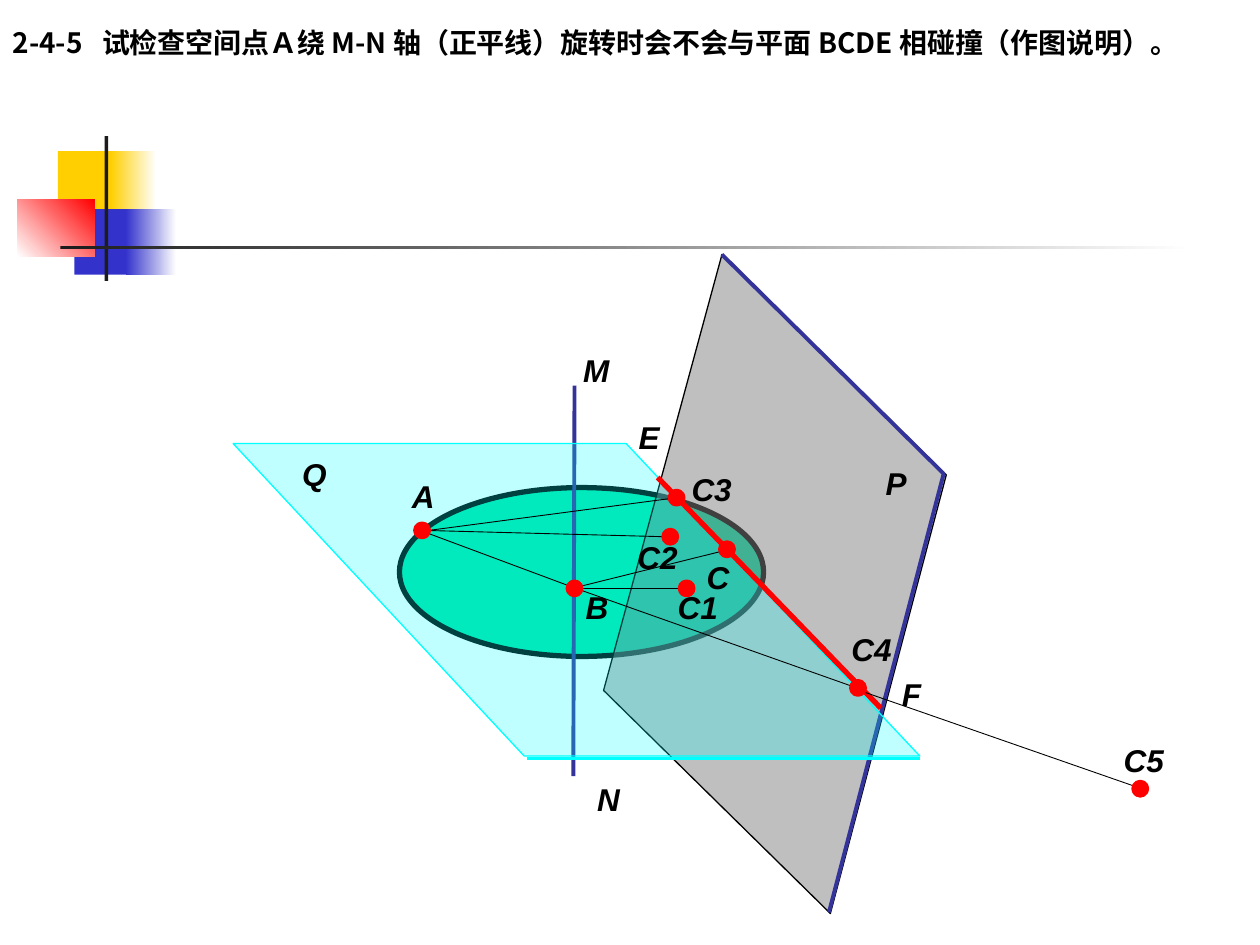
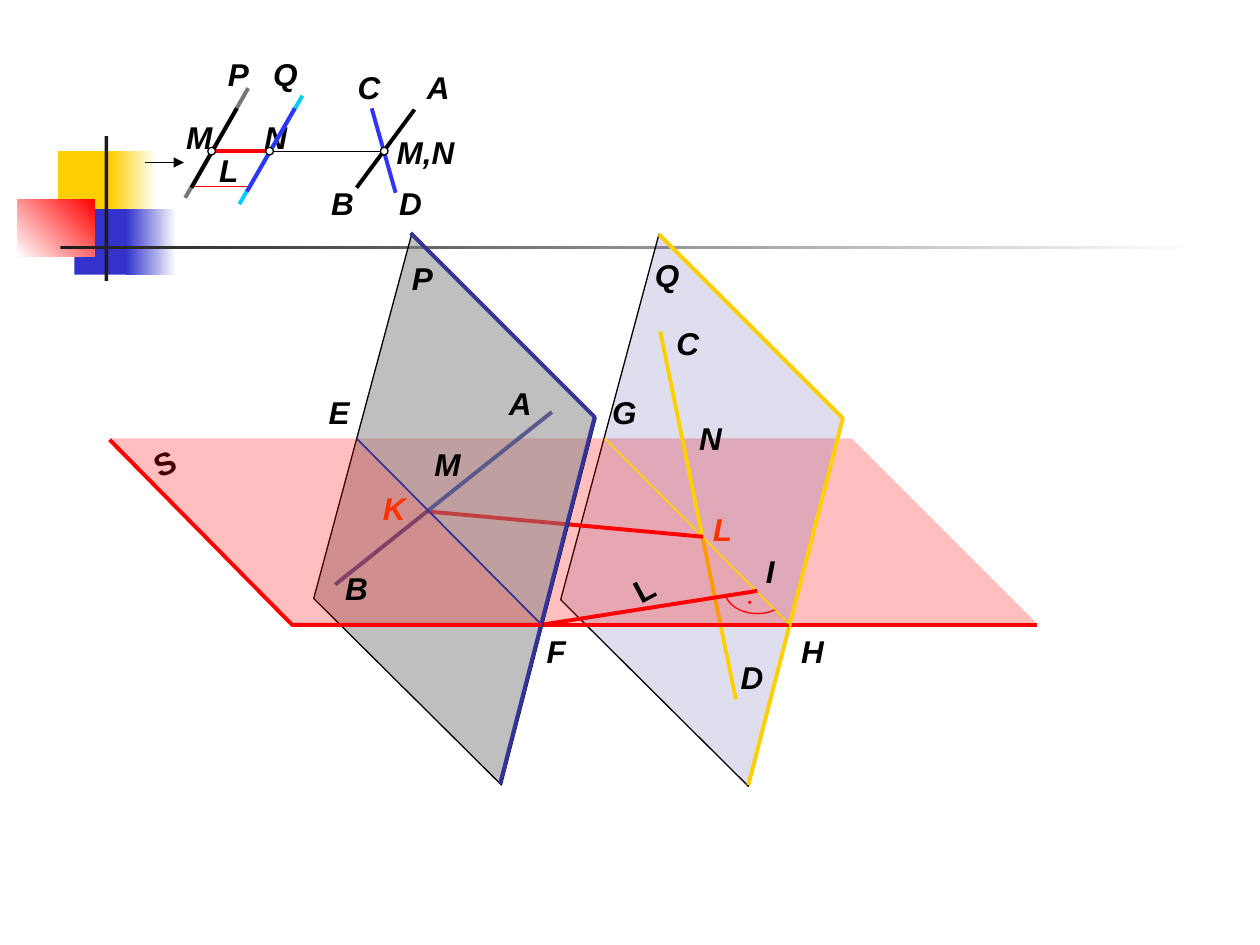
"""Build two slides of spatial geometry: a point turning about an axis, and a line parallel to a plane."""
from lxml.etree import SubElement
from pptx import Presentation
from pptx.dml.color import RGBColor as Rgb
from pptx.enum.shapes import MSO_CONNECTOR as Link, MSO_SHAPE as Form
from pptx.enum.text import MSO_ANCHOR as Anchor, MSO_AUTO_SIZE as Fit, PP_ALIGN as Align
from pptx.oxml.ns import qn
from pptx.util import Inches, Pt

HUES = {
    "ink": "000000", "white": "FFFFFF", "coal": "1C1C1C", "grey": "808080", "ash": "777777",
    "red": "FF0000", "rust": "FF3300", "gold": "FFCF01", "navy": "333399", "blue": "3333CC",
    "iris": "3333FF", "sky": "00CCFF", "cyan": "00FFFF", "jade": "00E4A8",
}
LATIN, HAN = "Arial", "Noto Sans CJK SC"
TITLE = "2-4-5\t试检查空间点Ａ绕 M-N 轴（正平线）旋转时会不会与平面 BCDE 相碰撞（作图说明）。"

BANDS = [
    ((0.46, 1.2, 0.48, 0.52), "gold", None, 0),
    ((0.88, 1.2, 0.36, 0.52), "gold", "white", 0),
    ((0.59, 1.66, 0.46, 0.52), "blue", None, 0),
    ((1, 1.66, 0.4, 0.52), "blue", "white", 0),
    ((0.14, 1.58, 0.61, 0.46), "white", "red", 45),
    ((0.83, 1.08, 0.03, 1.15), "coal", None, 0),
    ((0.48, 1.95, 9, 0.03), "coal", "white", 0),
]


def shift(pts, dx, dy=0):
    return [(x + dx, y + dy) for x, y in pts]


STEP = 1.965
TILE = [(0.87, 3.48), (2.83, 3.48), (4.3, 4.95), (2.32, 4.95)]
WING = [(3.98, 6.23), (2.49, 4.75), (3.27, 1.85), (4.73, 3.32)]
RIM = [(3.97, 6.22), (4.72, 3.31), (3.26, 1.85)]

SPIN = [
    ("oval", [(3.17, 3.87)], (2.89, 1.34), "jade", "ink", 3),
    ("line", [(4.55, 6.16, 4.56, 3.06)], "navy", 2.25),
    ("plane", [(6.59, 7.25), (4.79, 5.48), (5.73, 2.02), (7.51, 3.77)], "grey", 50, "ink"),
    ("bend", [(6.58, 7.24), (7.49, 3.76), (5.73, 2.02)], "navy", 2.25),
    ("text", [("P", 6.93, 3.63)]),
    ("plane", [(1.85, 3.52), (4.97, 3.52), (7.3, 6), (4.16, 6)], "cyan", 25, "cyan"),
    ("line", [(4.18, 6.02, 7.3, 6.02)], "cyan", 2.25),
    ("line", [(3.39, 4.23, 4.57, 4.67)], "ink", 0.5),
    ("line", [(5.22, 3.79, 6.99, 5.62)], "red", 3),
    ("line", [(4.54, 4.67, 5.79, 4.36), (4.57, 4.67, 5.44, 4.67), (4.57, 4.67, 6.8, 5.46),
              (3.38, 4.21, 5.28, 4.26), (3.4, 4.21, 5.37, 3.95), (6.85, 5.49, 9.09, 6.27)], "ink", 0.5),
    ("text", [("M", 4.53, 2.74), ("N", 4.64, 6.14), ("A", 3.17, 3.74), ("B", 4.55, 4.62),
              ("E", 4.97, 3.27), ("F", 7.06, 5.31), ("C", 5.51, 4.38), ("Q", 2.3, 3.56),
              ("C1", 5.28, 4.62), ("C2", 4.96, 4.22), ("C3", 5.39, 3.68),
              ("C4", 6.66, 4.95), ("C5", 8.82, 5.83)]),
    ("oval", [(5.4, 4.62), (5.27, 4.21), (5.72, 4.31), (5.32, 3.9), (3.3, 4.16), (4.51, 4.62),
              (6.76, 5.41), (9, 6.21)], (0.1, 0.1), "red", "red", 3),
]

CUT = [
    ("plane", shift(TILE, 2 * STEP), "red", 25),
    ("line", [(6.26, 4.96, 8.23, 4.96)], "red", 2.25),
    ("plane", shift(WING, 1.96, 0.01), "navy", 16, "ink"),
    ("bend", shift(RIM, 1.97, 0.01), "gold", 2.25),
    ("line", [(5.84, 5.55, 5.24, 2.63)], "gold", 2.25),
    ("plane", shift(TILE, STEP), "red", 25),
    ("line", [(4.3, 4.96, 6.26, 4.96)], "red", 2.25),
    ("line", [(6.26, 4.95, 4.8, 3.48)], "gold", 1),
    ("line", [(3.4, 4.06, 5.58, 4.26)], "red", 2.25),
    ("line", [(2.66, 4.64, 4.38, 3.27)], "navy", 2.25),
    ("text", [("N", 5.45, 3.28), ("C", 5.27, 2.52), ("D", 5.78, 5.17), ("Q", 5.1, 1.98),
              ("H", 6.26, 4.97), ("G", 4.76, 3.07), ("F", 4.24, 4.97), ("I", 5.98, 4.33)]),
    ("text", [("S", 1.12, 3.46)], "ink", 336.7),
    ("text", [("L", 4.93, 4.45)], "ink", 331.9),
    ("line", [(4.29, 4.96, 6.01, 4.69)], "red", 2.25),
    ("arc", (5.75, 4.49, 0.52, 0.38), 49, 166, "red"),
    ("oval", [(5.94, 4.77)], (0.02, 0.02), "red", "red", 0.25),
    ("text", [("L", 5.56, 4)], "rust"),
    ("plane", WING, "grey", 50, "ink"),
    ("bend", RIM, "navy", 2.25),
    ("plane", TILE, "red", 25),
    ("bend", [(0.87, 3.49), (2.32, 4.96), (4.3, 4.96)], "red", 2.25),
    ("text", [("P", 3.17, 2.01), ("M", 3.35, 3.48), ("B", 2.64, 4.47), ("E", 2.51, 3.07),
              ("A", 3.94, 3)]),
    ("text", [("K", 2.94, 3.83)], "rust"),
    ("line", [(4.28, 4.94, 2.83, 3.48)], "navy", 1),
    ("line", [(1.52, 1.48, 1.98, 1.48)], "red", 0.75),
    ("line", [(3.29, 0.87, 2.83, 1.49)], "ink", 2.25),
    ("line", [(2.95, 0.86, 3.14, 1.53)], "iris", 2.25),
    ("line", [(2.14, 1.2, 3.04, 1.2)], "ink", 0.75),
    ("line", [(1.68, 1.2, 2.14, 1.2)], "red", 2.25),
    ("text", [("P", 1.71, 0.39), ("Q", 2.07, 0.39), ("A", 3.29, 0.49), ("C", 2.74, 0.49),
              ("B", 2.53, 1.41), ("D", 3.07, 1.41), ("M,N", 3.05, 1.01), ("M", 1.38, 0.89),
              ("N", 2, 0.89), ("L", 1.64, 1.15)]),
    ("line", [(1.97, 0.7, 1.47, 1.57)], "ash", 2.25),
    ("line", [(2.4, 0.76, 1.9, 1.62)], "sky", 2.25),
    ("line", [(2.34, 0.86, 1.96, 1.52)], "iris", 2.25),
    ("line", [(1.88, 0.86, 1.52, 1.49)], "ink", 2.25),
    ("oval", [(3.02, 1.17), (1.65, 1.17), (2.11, 1.17)], (0.06, 0.06), "white", "ink", 0.75),
    ("line", [(1.15, 1.29, 1.46, 1.29)], "ink", 0.75, True),
]


def hue(name):
    return Rgb.from_string(HUES[name])


def span(*vals):
    return [Inches(v) for v in vals]


def style(shape, fill=None, edge=None, width=0.75, alpha=100):
    shape.shadow.inherit = False
    if fill:
        shape.fill.solid()
        shape.fill.fore_color.rgb = hue(fill)
        if alpha < 100:
            tint = next(shape.element.spPr.iter(qn("a:srgbClr")))
            SubElement(tint, qn("a:alpha"), val=str(alpha * 1000))
    else:
        shape.fill.background()
    if edge:
        shape.line.color.rgb = hue(edge)
        shape.line.width = Pt(width)
    else:
        shape.line.fill.background()


def bands(shapes):
    for box, start, end, angle in BANDS:
        band = shapes.add_shape(Form.RECTANGLE, *span(*box))
        style(band, start)
        if end:
            band.fill.gradient()
            band.fill.gradient_angle = angle
            for stop, name in zip(band.fill.gradient_stops, (start, end)):
                stop.color.rgb = hue(name)


def trace(shapes, pts, close):
    first, *rest = [span(*pt) for pt in pts]
    pen = shapes.build_freeform(*first)
    pen.add_line_segments(rest, close=close)
    return pen.convert_to_shape()


def plane(shapes, pts, fill, alpha, edge=None):
    style(trace(shapes, pts, True), fill, edge, alpha=alpha)


def bend(shapes, pts, edge, width):
    style(trace(shapes, pts, False), None, edge, width)


def line(shapes, ends, name, width, arrow=False):
    for end in ends:
        rod = shapes.add_connector(Link.STRAIGHT, *span(*end))
        rod.line.color.rgb = hue(name)
        rod.line.width = Pt(width)
        if arrow:
            SubElement(rod.line.fill._xPr, qn("a:tailEnd"), type="triangle")
        SubElement(rod.element.spPr, qn("a:effectLst"))


def oval(shapes, spots, size, fill, edge, width):
    for spot in spots:
        style(shapes.add_shape(Form.OVAL, *span(*spot, *size)), fill, edge, width)


def arc(shapes, box, start, end, edge):
    curve = shapes.add_shape(Form.ARC, *span(*box))
    for i, angle in enumerate((start, end)):
        curve.adjustments[i] = angle * 0.6
    style(curve, None, edge)


def text(shapes, marks, name="ink", turn=0):
    for word, x, y in marks:
        box = shapes.add_textbox(*span(x, y, 0.22 + 0.22 * len(word), 0.4))
        box.rotation = turn
        frame = box.text_frame
        frame.word_wrap = True
        frame.text = word
        font = frame.paragraphs[0].runs[0].font
        font.name, font.size, font.bold, font.italic = LATIN, Pt(18), True, not turn
        font.color.rgb = hue(name)


def head(title):
    title.left, title.top, title.width, title.height = span(0, 0.15, 10, 0.37)
    frame = title.text_frame
    frame.text = TITLE
    frame.word_wrap = True
    frame.auto_size = Fit.NONE
    frame.vertical_anchor = Anchor.TOP
    para = frame.paragraphs[0]
    para.alignment = Align.LEFT
    tabs = SubElement(para._p.get_or_add_pPr(), qn("a:tabLst"))
    SubElement(tabs, qn("a:tab"), pos=str(Inches(0.71)), algn="l")
    for run in para.runs:
        font = run.font
        font.name, font.size, font.bold = HAN, Pt(16), True
        font.color.rgb = hue("ink")
        SubElement(run._r.get_or_add_rPr(), qn("a:ea"), typeface=HAN)


DRAW = {"plane": plane, "bend": bend, "line": line, "oval": oval, "arc": arc, "text": text}


def main():
    deck = Presentation()
    deck.slide_width, deck.slide_height = span(10, 7.5)
    for layout, items in ((5, SPIN), (6, CUT)):
        slide = deck.slides.add_slide(deck.slide_layouts[layout])
        if slide.shapes.title:
            head(slide.shapes.title)
        bands(slide.shapes)
        for kind, *args in items:
            DRAW[kind](slide.shapes, *args)
    deck.save("out.pptx")


if __name__ == "__main__":
    main()
